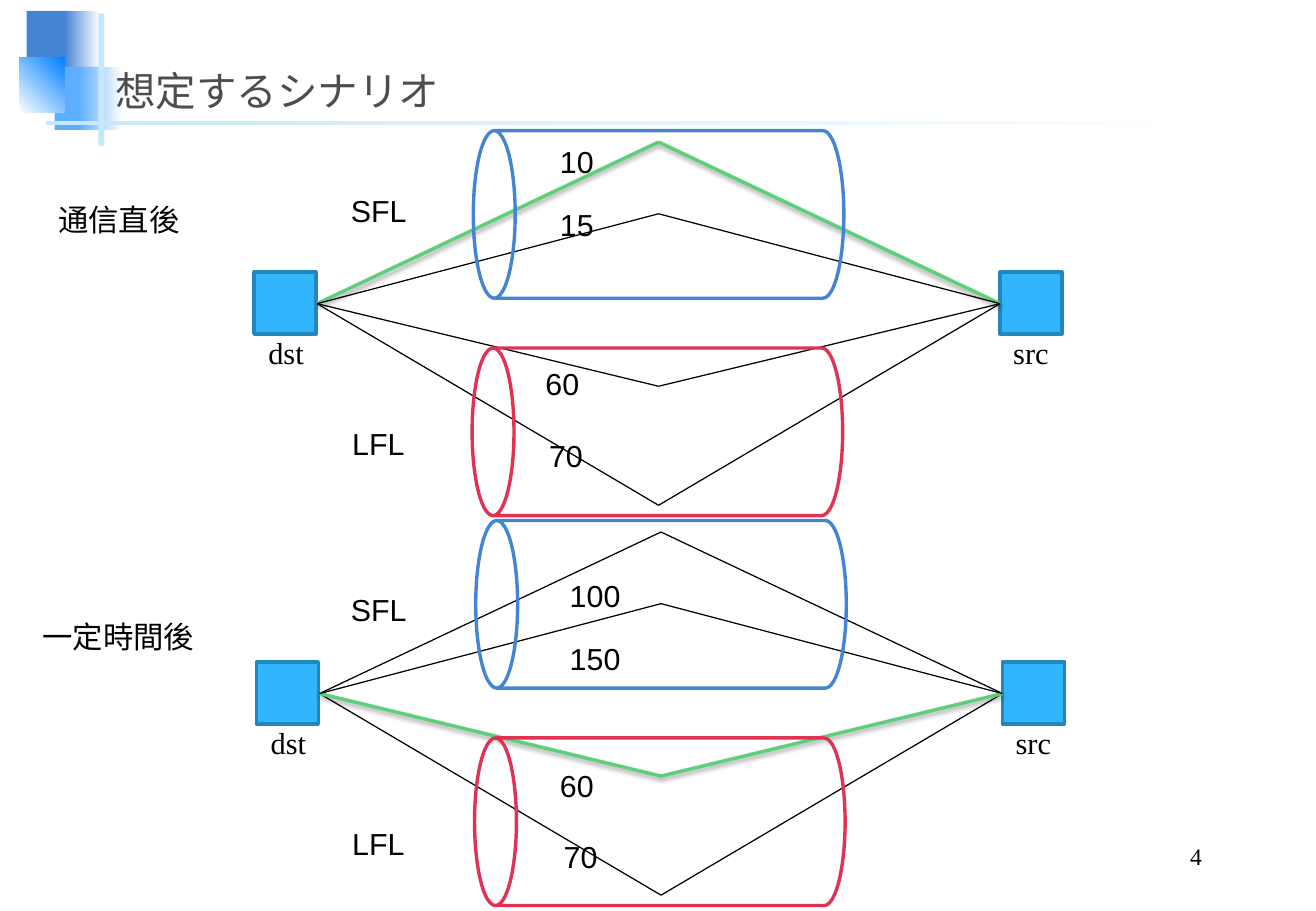
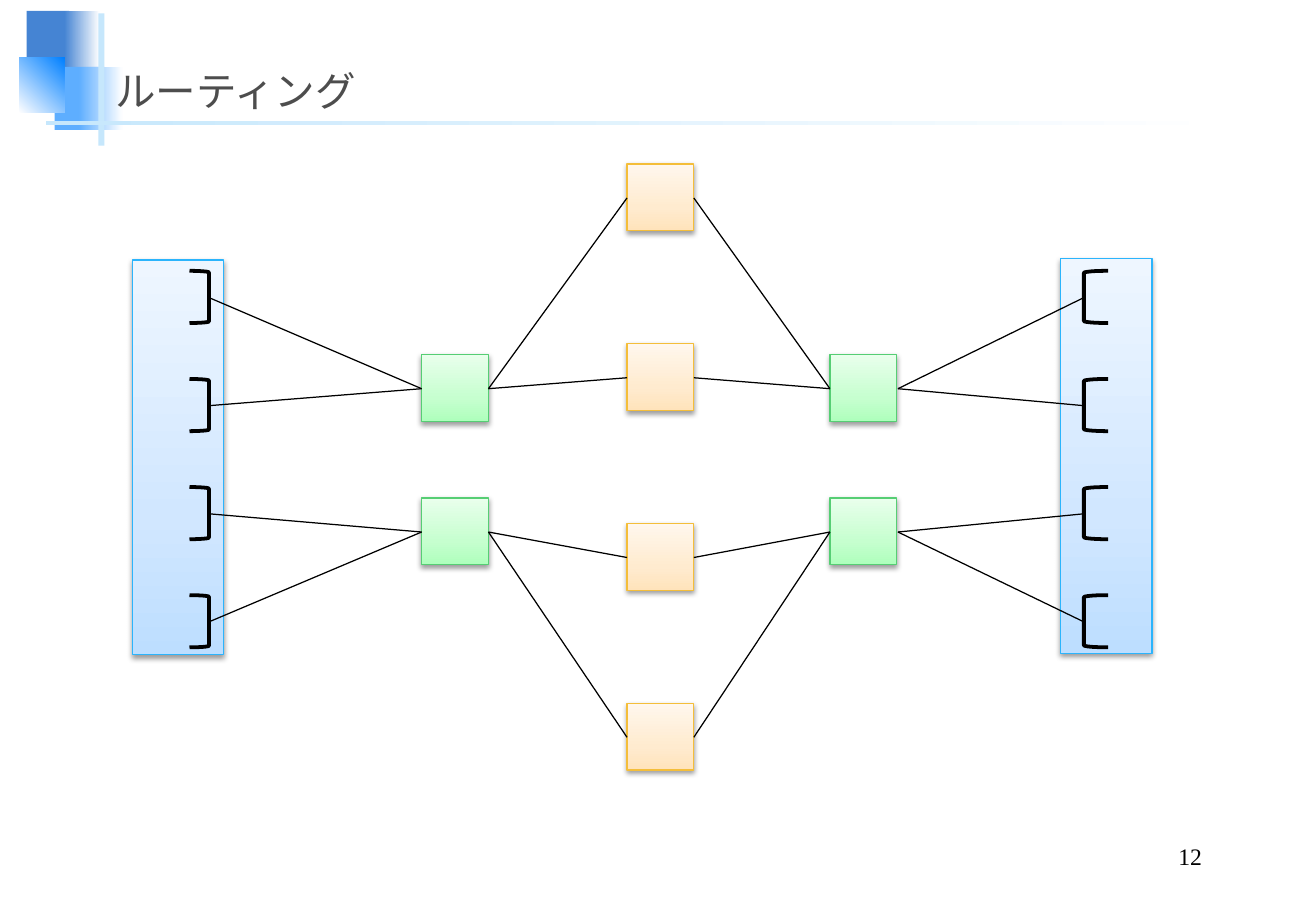
from collections import namedtuple
from copy import deepcopy
from lxml.etree import SubElement
from pptx import Presentation
from pptx.dml.color import RGBColor
from pptx.enum.shapes import MSO_CONNECTOR, MSO_SHAPE
from pptx.enum.text import MSO_ANCHOR, MSO_AUTO_SIZE, PP_ALIGN
from pptx.oxml.ns import qn
from pptx.util import Emu, Pt

PX = 9144
WIDE, HIGH = 1083, 750

Blend = namedtuple("Blend", "angle stops")
Pen = namedtuple("Pen", "color width")

BLACK = RGBColor(0x00, 0x00, 0x00)
WHITE = RGBColor(0xFF, 0xFF, 0xFF)
GRAY = RGBColor(0x4D, 0x4D, 0x4D)
NAVY = RGBColor(0x45, 0x84, 0xD3)
BLUE = RGBColor(0x5E, 0xAE, 0xFF)
AZURE = RGBColor(0x00, 0x80, 0xFF)
PALE = RGBColor(0xC6, 0xE7, 0xFC)
NODE = RGBColor(0x31, 0xB6, 0xFD)
NODE_EDGE = RGBColor(0x24, 0x87, 0xBB)
GREEN = RGBColor(0x5B, 0xD0, 0x78)
RED = RGBColor(0xE0, 0x32, 0x53)
SKY_EDGE = RGBColor(0x2B, 0xB4, 0xFC)
MINT_EDGE = RGBColor(0x56, 0xCE, 0x74)
SAND_EDGE = RGBColor(0xF4, 0xBE, 0x3A)

SKY = Blend(90, ((0, RGBColor(0xBD, 0xDE, 0xFF)),
                 (0.35, RGBColor(0xD1, 0xE7, 0xFF)),
                 (1, RGBColor(0xEE, 0xF6, 0xFF))))
MINT = Blend(90, ((0, RGBColor(0xAE, 0xFF, 0xBC)),
                  (0.35, RGBColor(0xC6, 0xFF, 0xCF)),
                  (1, RGBColor(0xE9, 0xFF, 0xEC))))
SAND = Blend(90, ((0, RGBColor(0xFF, 0xE3, 0xBB)),
                  (0.35, RGBColor(0xFF, 0xEB, 0xCF)),
                  (1, RGBColor(0xFF, 0xF7, 0xED))))

THIN = Pen(BLACK, 0.75)
BOLD = Pen(GREEN, 2)
SERIF, SANS = "Times New Roman", "Arial"


def px(*sizes):
    """Turn px lengths into EMU."""
    return [Emu(size * PX) for size in sizes]


def fade(start, end, angle=0):
    """Describe a plain blend of two colours."""
    return Blend(angle, ((0, start), (1, end)))


def paint(shape, fill):
    """Fill a shape with nothing, one colour or a blend."""
    if fill is None:
        shape.fill.background()
    elif isinstance(fill, Blend):
        shape.fill.gradient()
        shape.fill.gradient_angle = fill.angle
        stops = shape.element.spPr.find(".//" + qn("a:gsLst"))
        while len(stops) < len(fill.stops):
            stops.append(deepcopy(stops[0]))
        for stop, (place, color) in zip(shape.fill.gradient_stops, fill.stops):
            stop.position = place
            stop.color.rgb = color
    else:
        shape.fill.solid()
        shape.fill.fore_color.rgb = fill


def stroke(item, pen):
    """Draw an outline with a pen, or none."""
    if pen is None:
        item.line.fill.background()
    else:
        item.line.color.rgb = pen.color
        item.line.width = Pt(pen.width)


def shade(item):
    """Drop a soft shadow below an item."""
    effects = item.element.spPr.find(qn("a:effectLst"))
    shadow = SubElement(effects, qn("a:outerShdw"), blurRad="40000",
                        dist="20000", dir="5400000", rotWithShape="0")
    color = SubElement(shadow, qn("a:srgbClr"), val=str(BLACK))
    SubElement(color, qn("a:alpha"), val="38000")


def block(slide, box, fill=None, pen=None, kind=MSO_SHAPE.RECTANGLE, raised=False):
    """Add a preset shape."""
    shape = slide.shapes.add_shape(kind, *px(*box))
    shape.shadow.inherit = False
    paint(shape, fill)
    stroke(shape, pen)
    if raised:
        shade(shape)
    return shape


def link(slide, start, end, pen=THIN, raised=False):
    """Join two points with a straight line."""
    line = slide.shapes.add_connector(MSO_CONNECTOR.STRAIGHT, *px(*start, *end))
    stroke(line, pen)
    SubElement(line.element.spPr, qn("a:effectLst"))
    if raised:
        shade(line)


def write(slide, box, text, size=18, font=SANS, color=BLACK, align=PP_ALIGN.LEFT):
    """Add a line of text and return its frame."""
    frame = slide.shapes.add_textbox(*px(*box)).text_frame
    frame.word_wrap = True
    frame.vertical_anchor = MSO_ANCHOR.BOTTOM
    para = frame.paragraphs[0]
    para.alignment = align
    run = para.add_run()
    run.text = text
    run.font.size = Pt(size)
    run.font.name = font
    run.font.color.rgb = color
    return frame


def label(slide, x, y, width, text, font=SANS):
    """Add a label that fits its text."""
    frame = write(slide, (x, y, width, 40), text, font=font)
    frame.vertical_anchor = MSO_ANCHOR.TOP
    frame.word_wrap = False
    frame.auto_size = MSO_AUTO_SIZE.SHAPE_TO_FIT_TEXT


def page(deck, title, number):
    """Add a slide with the shared mark, title and number."""
    slide = deck.slides.add_slide(deck.slide_layouts[6])
    for box, fill in (
        ((22, 9, 35, 52), NAVY),
        ((53, 9, 29, 52), fade(NAVY, WHITE)),
        ((45, 55, 41, 52), BLUE),
        ((65, 55, 36, 52), fade(BLUE, WHITE)),
        ((16, 47, 37, 46), fade(WHITE, AZURE, 45)),
        ((81, 11, 5, 109), PALE),
        ((38, 100, 975, 3), fade(PALE, WHITE)),
    ):
        block(slide, box, fill)
    write(slide, (85, 36, 929, 63), title, 24, SERIF, GRAY)
    write(slide, (773, 690, 226, 31), number, 14, SERIF, align=PP_ALIGN.RIGHT)
    return slide


def scene(slide, dx, dy, best):
    """Draw two hosts, four routes with the best in green, and two pipes."""
    for x in (209, 823):
        block(slide, (x + dx, 224 + dy, 51, 51), NODE, Pen(NODE_EDGE, 2))
    for peak in (117, 416, 318, 176):
        chosen = peak == best
        top = (542 + dx, peak + dy)
        for x, flip in ((261, False), (823, True)):
            ends = [(x + dx, 250 + dy), top]
            if flip:
                ends.reverse()
            link(slide, *ends, BOLD if chosen else THIN, chosen)
    for x, y, color in ((473, 24, NAVY), (472, 203, RED)):
        pipe = block(slide, (x + dx, y + dy, 138, 305), None, Pen(color, 2),
                     MSO_SHAPE.CAN)
        pipe.rotation = 270
    for x, name in ((211, "dst"), (824, "src")):
        label(slide, x + dx, 270 + dy, 50, name, SERIF)


def plan(deck):
    """Build the scenario slide."""
    slide = page(deck, "想定するシナリオ", "4")
    scene(slide, 0, 0, 117)
    scene(slide, 2, 321, 318)
    for x, y, width, text in (
        (38, 161, 121, "通信直後"),
        (279, 153, 66, "SFL"),
        (280, 345, 64, "LFL"),
        (451, 113, 48, "10"),
        (451, 165, 48, "15"),
        (439, 296, 48, "60"),
        (442, 355, 48, "70"),
        (25, 504, 146, "一定時間後"),
        (279, 482, 66, "SFL"),
        (280, 674, 64, "LFL"),
        (459, 470, 62, "100"),
        (459, 522, 62, "150"),
        (451, 627, 48, "60"),
        (454, 685, 48, "70"),
    ):
        label(slide, x, y, width, text)


def routes(deck):
    """Build the routing slide."""
    slide = page(deck, "ルーティング", "12")
    side, half = 55, 28
    ports = [223 + 89 * i for i in range(4)]
    cores = [135 + 148 * i for i in range(4)]
    gates = (292, 410)
    for x, y in ((109, 214), (873, 213)):
        block(slide, (x, y, 75, 325), SKY, Pen(SKY_EDGE, 0.75), raised=True)
    for x in (347, 683):
        for y in gates:
            block(slide, (x, y, side, side), MINT, Pen(MINT_EDGE, 0.75), raised=True)
    for y in cores:
        block(slide, (516, y, side, side), SAND, Pen(SAND_EDGE, 0.75), raised=True)
    for x, width, kind in ((156, 16, MSO_SHAPE.RIGHT_BRACKET),
                           (892, 20, MSO_SHAPE.LEFT_BRACKET)):
        for y in ports:
            block(slide, (x, y, width, 43), None, Pen(BLACK, 2.25), kind)
    for i, (port, core) in enumerate(zip(ports, cores)):
        port, core, gate = port + 22, core + half, gates[i // 2] + half
        link(slide, (172, port), (347, gate))
        link(slide, (402, gate), (516, core))
        link(slide, (571, core), (683, gate))
        link(slide, (739, gate), (892, port))


def main():
    """Build and save the deck."""
    deck = Presentation()
    deck.slide_width, deck.slide_height = px(WIDE, HIGH)
    plan(deck)
    routes(deck)
    deck.save("out.pptx")


if __name__ == "__main__":
    main()
